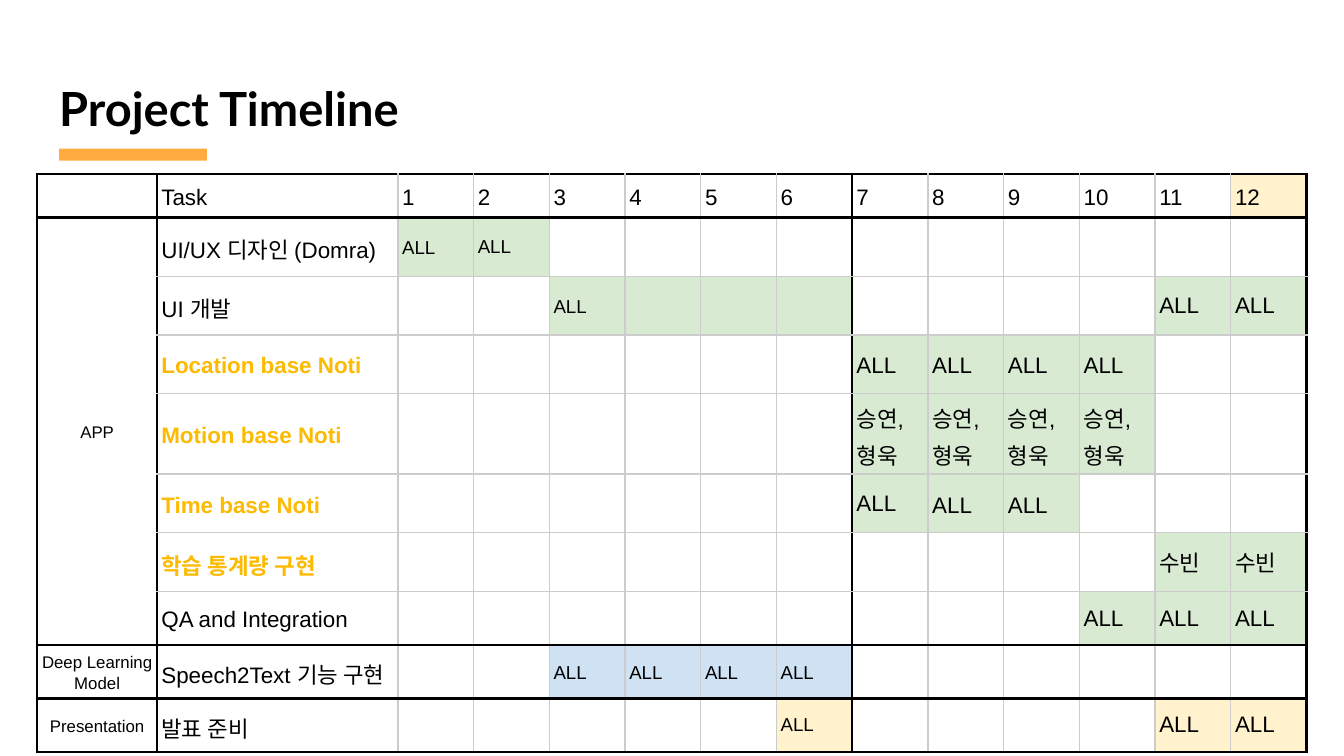
from pptx import Presentation
from pptx.dml.color import RGBColor
from pptx.enum.shapes import MSO_SHAPE
from pptx.enum.text import MSO_ANCHOR, PP_ALIGN
from pptx.oxml.ns import qn
from pptx.util import Cm, Pt
from lxml import etree

RECT = MSO_SHAPE.RECTANGLE
MIDDLE = MSO_ANCHOR.MIDDLE
LEFT, CENTER = PP_ALIGN.LEFT, PP_ALIGN.CENTER

BLACK = RGBColor(0x00, 0x00, 0x00)
WHITE = RGBColor(0xFF, 0xFF, 0xFF)
GRAY = RGBColor(0xCC, 0xCC, 0xCC)
ORANGE = RGBColor(0xFF, 0xAB, 0x40)
GOLD = RGBColor(0xFC, 0xBA, 0x03)
GREEN = RGBColor(0xD9, 0xEA, 0xD3)
BLUE = RGBColor(0xCF, 0xE2, 0xF3)
YELLOW = RGBColor(0xFF, 0xF2, 0xCC)

# Row heights (cm), header first
ROW_HEIGHTS = [0.82, 1.11, 1.11, 1.11, 1.52, 1.11, 1.11, 1.01, 1.01, 1.01]
GROUP_WIDTH, TASK_WIDTH, WEEKS = 2.27, 4.55, 12

# Group label, first row, last row
GROUPS = [
    ("APP", 1, 7),
    ("Deep Learning\nModel", 8, 8),
    ("Presentation", 9, 9),
]
# Task name, highlighted
TASKS = [
    ("UI/UX 디자인 (Domra)", False),
    ("UI 개발", False),
    ("Location base Noti", True),
    ("Motion base Noti", True),
    ("Time base Noti", True),
    ("학습 통계량 구현", True),
    ("QA and Integration", False),
    ("Speech2Text 기능 구현", False),
    ("발표 준비", False),
]
# Row, first week, last week, text, fill, size, line spacing
BARS = [
    (1, 1, 1, "ALL", GREEN, 10, 1.15),
    (1, 2, 2, "ALL", GREEN, 10, 1),
    (2, 3, 3, "ALL", GREEN, 10, 1.15),
    (2, 4, 6, "", GREEN, 10, 1.15),
    (2, 11, 12, "ALL", GREEN, 12, 1),
    (3, 7, 10, "ALL", GREEN, 12, 1.15),
    (4, 7, 10, "승연,\v형욱", GREEN, 12, 1.15),
    (5, 7, 7, "ALL", GREEN, 12, 1),
    (5, 8, 9, "ALL", GREEN, 12, 1.15),
    (6, 11, 12, "수빈", GREEN, 12, 1),
    (7, 10, 12, "ALL", GREEN, 12, 1),
    (8, 3, 6, "ALL", BLUE, 10, 1.15),
    (9, 6, 6, "ALL", YELLOW, 10, 1),
    (9, 11, 12, "ALL", YELLOW, 12, 1),
]
# Grid lines drawn heavy, counted from the left and from the top
HEAVY_COLS = {0, 1, 8, 14}
HEAVY_ROWS = {0, 1, 8, 9, 10}


def write(tf, text, size=12, font="Arial", color=BLACK, bold=False,
          align=LEFT, spacing=1.15):
    """Fill a text frame: \\n starts a paragraph, \\v breaks a line."""
    tf.text = text
    for p in tf.paragraphs:
        p.alignment = align
        p.line_spacing = spacing
        for r in p.runs:
            r.font.name = font
            r.font.size = Pt(size)
            r.font.bold = bold
            r.font.color.rgb = color


def set_border(cell, side, heavy):
    ln = etree.SubElement(cell._tc.get_or_add_tcPr(), qn("a:ln" + side),
                          w=str(Pt(1.5 if heavy else 0.83)))
    fill = etree.SubElement(ln, qn("a:solidFill"))
    etree.SubElement(fill, qn("a:srgbClr"), val=str(BLACK if heavy else GRAY))


def set_fill(cell, color):
    cell.fill.solid()
    cell.fill.fore_color.rgb = color


def style_grid(table):
    for r, row in enumerate(table.rows):
        for c, cell in enumerate(row.cells):
            cell.vertical_anchor = MIDDLE
            cell.margin_left = cell.margin_right = Cm(0.08)
            cell.margin_top = cell.margin_bottom = Cm(0.05 if r else 0)
            set_border(cell, "L", c in HEAVY_COLS)
            set_border(cell, "R", c + 1 in HEAVY_COLS)
            set_border(cell, "T", c == 0 or r in HEAVY_ROWS)
            set_border(cell, "B", c == 0 or r + 1 in HEAVY_ROWS)
            cell.fill.background()


def add_title(s, x, y, w, h):
    tf = s.shapes.add_textbox(Cm(x), Cm(y), Cm(w), Cm(h)).text_frame
    tf.word_wrap = True
    tf.vertical_anchor = MIDDLE
    tf.margin_left = tf.margin_right = Cm(0.25)
    tf.margin_top = tf.margin_bottom = Cm(0.25)
    write(tf, "Project Timeline", size=25.2, font="Lato", bold=True, spacing=1)
    # Accent bar under the title
    sp = s.shapes.add_shape(RECT, Cm(x + 0.25), Cm(y + h - 0.02),
                            Cm(2.79), Cm(0.23))
    sp.shadow.inherit = False
    sp.fill.solid()
    sp.fill.fore_color.rgb = ORANGE
    sp.line.fill.background()


def add_timeline(s, x, y, w):
    table = s.shapes.add_table(len(ROW_HEIGHTS), WEEKS + 2, Cm(x), Cm(y),
                               Cm(w), Cm(sum(ROW_HEIGHTS))).table
    table.first_row = table.horz_banding = False
    week_width = (w - GROUP_WIDTH - TASK_WIDTH) / WEEKS
    widths = [GROUP_WIDTH, TASK_WIDTH] + [week_width] * WEEKS
    for column, width in zip(table.columns, widths):
        column.width = Cm(width)
    for row, height in zip(table.rows, ROW_HEIGHTS):
        row.height = Cm(height)
    style_grid(table)

    # Header
    write(table.cell(0, 1).text_frame, "Task")
    for week in range(1, WEEKS + 1):
        cell = table.cell(0, week + 1)
        write(cell.text_frame, str(week))
        set_fill(cell, YELLOW if week == WEEKS else WHITE)

    # Groups and tasks
    for text, first, last in GROUPS:
        cell = table.cell(first, 0)
        if last > first:
            cell.merge(table.cell(last, 0))
        write(cell.text_frame, text, size=9, align=CENTER)
    for r, (text, highlighted) in enumerate(TASKS, 1):
        write(table.cell(r, 1).text_frame, text, bold=highlighted,
              color=GOLD if highlighted else BLACK)

    # Scheduled weeks
    for r, first, last, text, color, size, spacing in BARS:
        for week in range(first, last + 1):
            cell = table.cell(r, week + 1)
            set_fill(cell, color)
            write(cell.text_frame, text, size=size, spacing=spacing)


def main():
    prs = Presentation()
    prs.slide_width, prs.slide_height = Cm(25.4), Cm(14.29)
    s = prs.slides.add_slide(prs.slide_layouts[6])
    add_title(s, 0.87, 1.23, 23.67, 1.6)
    add_timeline(s, 0.7, 3.29, 24)
    prs.save("out.pptx")


if __name__ == "__main__":
    main()
